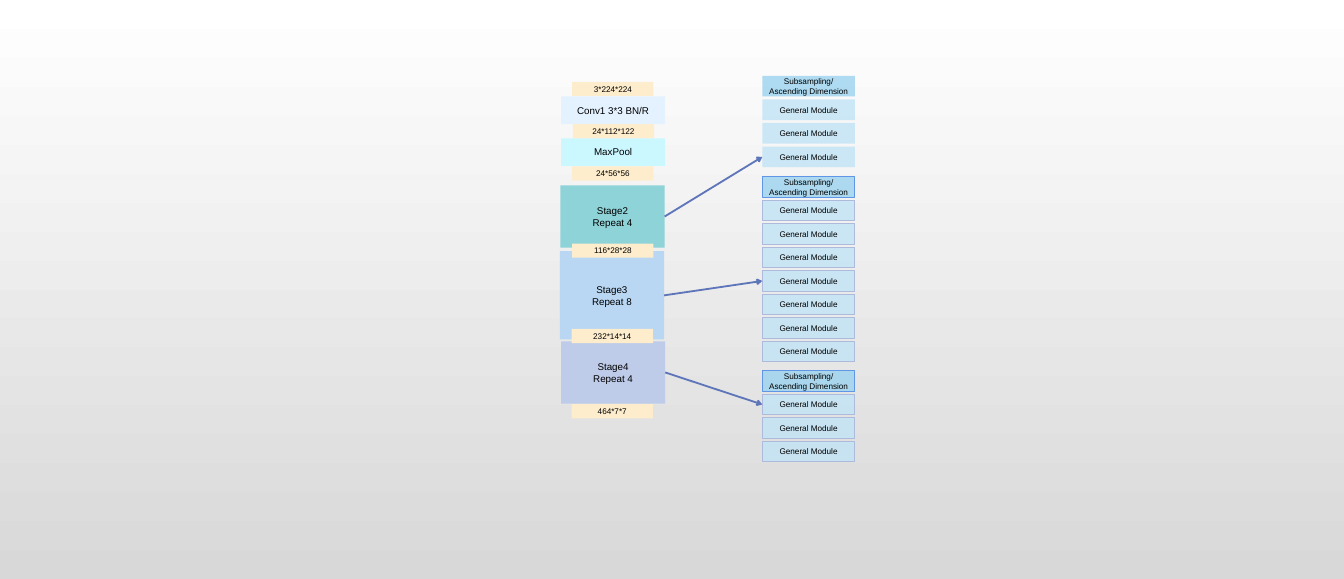
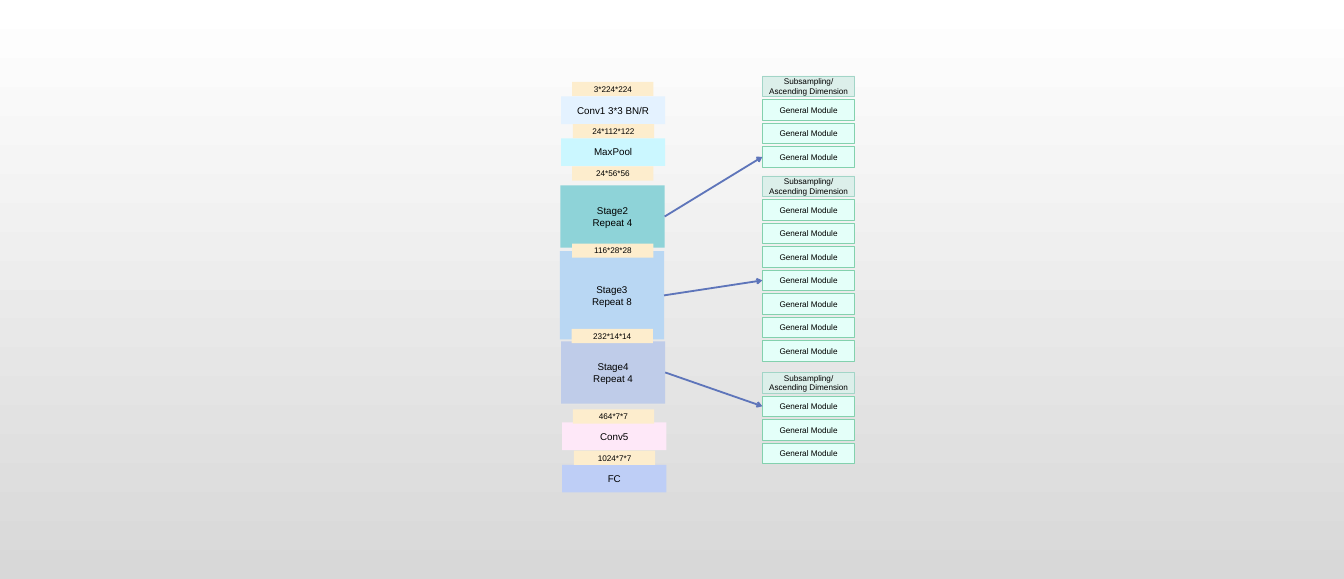
from lxml.etree import SubElement
from pptx import Presentation
from pptx.dml.color import RGBColor as RGB
from pptx.enum.shapes import MSO_CONNECTOR as LINK, MSO_SHAPE as SHAPE
from pptx.enum.text import MSO_ANCHOR as ANCHOR, PP_ALIGN as ALIGN
from pptx.oxml.ns import qn
from pptx.util import Pt

PX = 9144
WHITE = RGB(0xFF, 0xFF, 0xFF)
GREY = RGB(0xD8, 0xD8, 0xD8)
BLACK = RGB(0x00, 0x00, 0x00)
CREAM = RGB(0xFD, 0xED, 0xCD)
ICE = RGB(0xE4, 0xF2, 0xFF)
CYAN = RGB(0xCB, 0xF7, 0xFF)
TEAL = RGB(0x8E, 0xD3, 0xD8)
BLUE = RGB(0xB9, 0xD7, 0xF3)
MAUVE = RGB(0xBF, 0xCC, 0xE9)
PINK = RGB(0xFE, 0xE8, 0xF8)
IRIS = RGB(0xBE, 0xCE, 0xF6)
INDIGO = RGB(0x5E, 0x75, 0xBA)
SKY = RGB(0xC1, 0xE4, 0xF6)
AZURE = RGB(0x9B, 0xD3, 0xEF)
LILAC = RGB(0xAE, 0xBA, 0xDC)
COBALT = RGB(0x60, 0x96, 0xE6)
MINT = RGB(0xE4, 0xFF, 0xF9)
SAGE = RGB(0xDC, 0xEF, 0xEA)
GREEN = RGB(0x83, 0xD1, 0xAE)
JADE = RGB(0xA2, 0xD5, 0xC7)

FRAME = {
    "word_wrap": True,
    "vertical_anchor": ANCHOR.MIDDLE,
    "margin_left": 10 * PX,
    "margin_right": 10 * PX,
    "margin_top": 10 * PX,
    "margin_bottom": 10 * PX,
}
FONT = {"name": "Arial", "bold": False}

LAYERS = [
    ("Conv1 3*3 BN/R", 953, 164, 47, ICE),
    ("MaxPool", 953, 235, 47, CYAN),
    ("Stage2\nRepeat 4", 952, 315, 106, TEAL),
    ("Stage3\nRepeat 8", 951, 427, 150, BLUE),
    ("Stage4\nRepeat 4", 953, 580, 106, MAUVE),
]
SIZES = [
    ("3*224*224", 972, 139),
    ("24*112*122", 973, 211),
    ("24*56*56", 972, 283),
    ("116*28*28", 972, 414),
    ("232*14*14", 971, 559),
]
HEAD = "Subsampling/\nAscending Dimension"
BODY = "General Module"

PAGES = [
    {
        "layers": [],
        "sizes": [("464*7*7", 971, 687)],
        "fills": (AZURE, SKY),
        "lines": (COBALT, LILAC),
        "alpha": 80,
        "bare": ["Stage2"],
        "tops": (129, 300, 630),
    },
    {
        "layers": [("Conv5", 955, 718, 47, PINK), ("FC", 955, 790, 47, IRIS)],
        "sizes": [("464*7*7", 973, 696), ("1024*7*7", 975, 766)],
        "fills": (SAGE, MINT),
        "lines": (JADE, GREEN),
        "alpha": 100,
        "bare": [],
        "tops": (129, 299, 633),
    },
]
STACKS = [("Stage2", 4, 3), ("Stage3", 8, 4), ("Stage4", 4, 1)]
STEP = 40


def box(slide, text, area, fill, size, line=None, alpha=100):
    shape = slide.shapes.add_shape(SHAPE.RECTANGLE, *[n * PX for n in area])
    shape.shadow.inherit = False
    shape.fill.solid()
    shape.fill.fore_color.rgb = fill
    if alpha < 100:
        tint = shape._element.spPr.xpath("a:solidFill/a:srgbClr")[0]
        SubElement(tint, qn("a:alpha"), val=str(alpha * 1000))
    if line is None:
        shape.line.fill.background()
    else:
        shape.line.color.rgb = line
        shape.line.width = Pt(1)
    frame = shape.text_frame
    for key, val in FRAME.items():
        setattr(frame, key, val)
    frame.text = text
    for para in frame.paragraphs:
        para.alignment = ALIGN.CENTER
        for key, val in FONT.items():
            setattr(para.font, key, val)
        para.font.size = Pt(size)
        para.font.color.rgb = BLACK
    return shape


def join(slide, start, end):
    link = slide.shapes.add_connector(LINK.STRAIGHT, 0, 0, 0, 0)
    link.begin_connect(start, 3)
    link.end_connect(end, 1)
    link.line.color.rgb = INDIGO
    link.line.width = Pt(2.25)
    props = link._element.spPr
    SubElement(props.find(qn("a:ln")), qn("a:tailEnd"), type="arrow")
    SubElement(props, qn("a:effectLst"))


deck = Presentation()
deck.slide_width = 2283 * PX
deck.slide_height = 984 * PX

back = deck.slide_master.background.fill
back.gradient()
back.gradient_angle = 270
for stop, tone in zip(back.gradient_stops, (WHITE, GREY)):
    stop.color.rgb = tone

for page in PAGES:
    slide = deck.slides.add_slide(deck.slide_layouts[6])

    stages = {}
    for text, left, top, high, fill in LAYERS + page["layers"]:
        shape = box(slide, text, (left, top, 177, high), fill, 12)
        stages[text.split("\n")[0]] = shape

    for (name, count, goal), top in zip(STACKS, page["tops"]):
        parts = []
        for i in range(count):
            kind = min(i, 1)
            line = None if name in page["bare"] else page["lines"][kind]
            area = (1295, top + i * STEP, 157, 35)
            parts.append(box(slide, (HEAD, BODY)[kind], area,
                             page["fills"][kind], 10, line, page["alpha"]))
        join(slide, stages[name], parts[goal])

    for text, left, top in SIZES + page["sizes"]:
        box(slide, text, (left, top, 138, 24), CREAM, 10)

deck.save("out.pptx")
